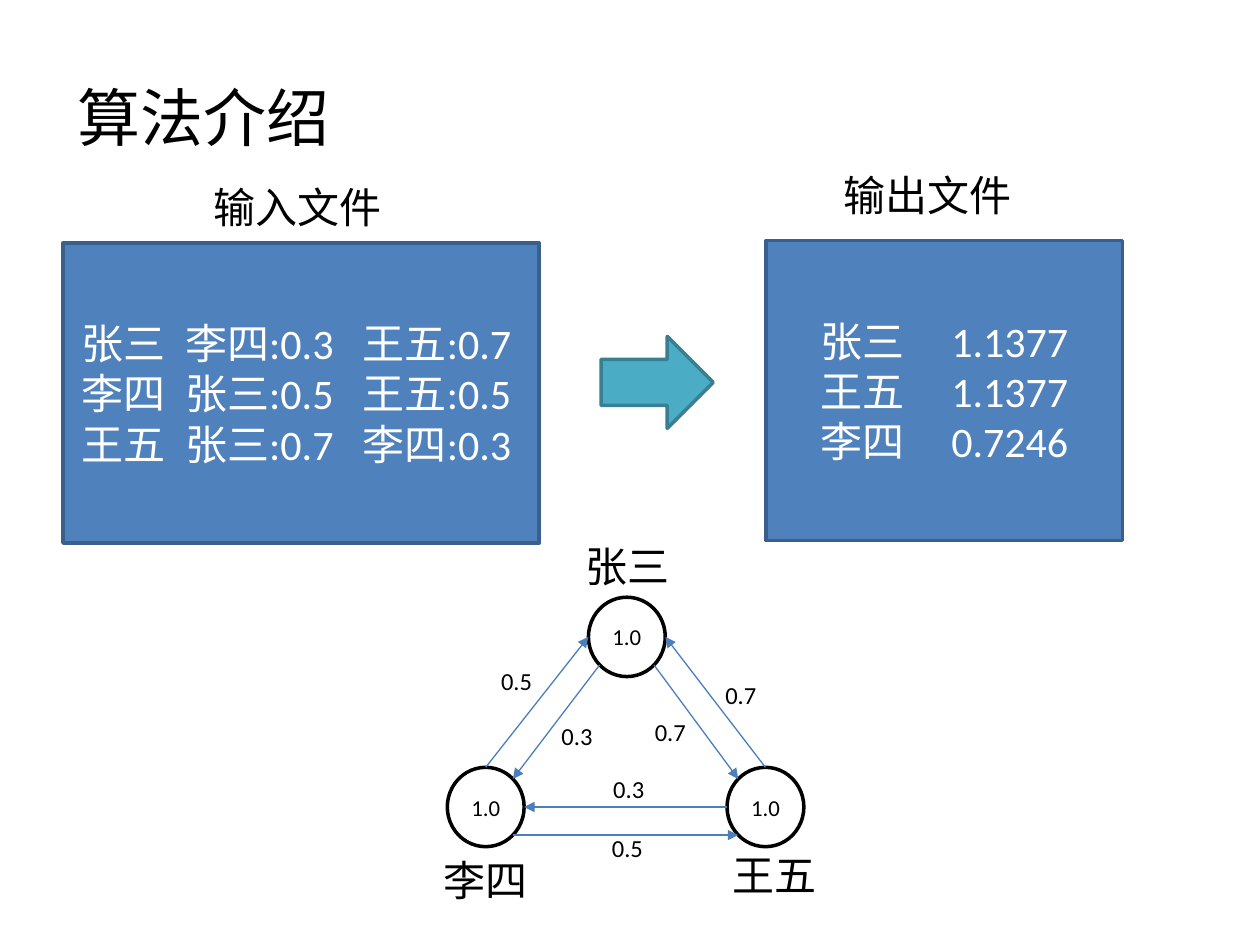
from math import cos, radians, sin

from lxml import etree
from pptx import Presentation
from pptx.dml.color import RGBColor
from pptx.enum import shapes, text
from pptx.oxml import ns
from pptx.util import Inches, Pt

BLACK = RGBColor(0, 0, 0)
WHITE = RGBColor(255, 255, 255)
BLUE = RGBColor(0x4F, 0x81, 0xBD)
BLUE_EDGE = RGBColor(0x3A, 0x5F, 0x8C)
TEAL = RGBColor(0x4B, 0xAC, 0xC6)
TEAL_EDGE = RGBColor(0x37, 0x7F, 0x92)
LINK = RGBColor(0x4B, 0x7E, 0xBC)
NODE_SIZE = (0.61, 0.63)


def write_text(shape, lines, size=24, color=BLACK, anchor=text.MSO_ANCHOR.TOP,
               align=text.PP_ALIGN.CENTER, left_inset=0.1, right_inset=0.1, tabs=()):
    """Fill a shape with formatted lines, with tab stops given in inches."""
    frame = shape.text_frame
    frame.word_wrap = True
    frame.vertical_anchor = anchor
    frame.margin_left = Inches(left_inset)
    frame.margin_right = Inches(right_inset)
    frame.text = "\n".join(lines)
    for paragraph in frame.paragraphs:
        paragraph.alignment = align
        for run in paragraph.runs:
            run.font.name = "Calibri"
            run.font.size = Pt(size)
            run.font.color.rgb = color
        if tabs:
            properties = paragraph._p.get_or_add_pPr()
            stops = etree.SubElement(properties, ns.qn("a:tabLst"))
            for stop in tabs:
                etree.SubElement(stops, ns.qn("a:tab"), pos=str(Inches(stop)), algn="l")


def add_label(slide, box, wording, **style):
    """Add a text box with one line of text."""
    label = slide.shapes.add_textbox(*map(Inches, box))
    write_text(label, [wording], **style)


def add_solid(slide, kind, box, fill, edge):
    """Add a filled and outlined preset shape."""
    shape = slide.shapes.add_shape(kind, *map(Inches, box))
    shape.shadow.inherit = False
    shape.fill.solid()
    shape.fill.fore_color.rgb = fill
    shape.line.color.rgb = edge
    shape.line.width = Pt(2)
    return shape


def add_file_panel(slide, box, caption, caption_box, lines, inset, tabs):
    """Add a captioned blue panel that lists the contents of a file."""
    panel = add_solid(slide, shapes.MSO_SHAPE.RECTANGLE, box, BLUE, BLUE_EDGE)
    write_text(panel, lines, color=WHITE, anchor=text.MSO_ANCHOR.MIDDLE,
               align=text.PP_ALIGN.LEFT, left_inset=inset, right_inset=0, tabs=tabs)
    add_label(slide, caption_box, caption)


def rim_point(corner, angle):
    """Return the point on a node's rim at an angle, clockwise from the right."""
    turn = radians(angle)
    return [start + size / 2 * (1 + part)
            for start, size, part in zip(corner, NODE_SIZE, (cos(turn), sin(turn)))]


def add_arrow(slide, start, end):
    """Add a thin straight arrow between two points."""
    arrow = slide.shapes.add_connector(shapes.MSO_CONNECTOR.STRAIGHT,
                                       *map(Inches, (*start, *end)))
    arrow.line.color.rgb = LINK
    arrow.line.width = Pt(0.75)
    etree.SubElement(arrow.line._get_or_add_ln(), ns.qn("a:tailEnd"), type="triangle")
    etree.SubElement(arrow._element.spPr, ns.qn("a:effectLst"))


def add_graph(slide, left, top):
    """Add the weighted graph of three people from its top left corner."""
    nodes = {"张三": (1.29, 0.5), "王五": (2.39, 1.85), "李四": (0.17, 1.85)}
    names = {"张三": (1.13, 0), "王五": (2.3, 2.45), "李四": (0, 2.49)}
    edges = [
        ("李四", 270, "张三", 180, "0.5", (0.47, 1.0)),
        ("张三", 135, "李四", 315, "0.3", (0.95, 1.43)),
        ("李四", 45, "王五", 135, "0.5", (1.35, 2.32)),
        ("王五", 180, "李四", 0, "0.3", (1.36, 1.85)),
        ("王五", 270, "张三", 0, "0.7", (2.25, 1.11)),
        ("张三", 45, "王五", 225, "0.7", (1.69, 1.4)),
    ]
    corners = {name: (left + x, top + y) for name, (x, y) in nodes.items()}
    for name, corner in corners.items():
        node = add_solid(slide, shapes.MSO_SHAPE.OVAL, (*corner, *NODE_SIZE), WHITE, BLACK)
        write_text(node, ["1.0"], size=13, anchor=text.MSO_ANCHOR.MIDDLE,
                   left_inset=0, right_inset=0)
        x, y = names[name]
        add_label(slide, (left + x, top + y, 0.94, 0.5), name)
    for source, leave, target, arrive, weight, (x, y) in edges:
        add_arrow(slide, rim_point(corners[source], leave), rim_point(corners[target], arrive))
        add_label(slide, (left + x, top + y, 0.5, 0.34), weight, size=14)


def main():
    """Build and save the slide."""
    presentation = Presentation()
    presentation.slide_width = Inches(10)
    presentation.slide_height = Inches(7.5)
    slide = presentation.slides.add_slide(presentation.slide_layouts[6])
    add_label(slide, (0.5, 0.3, 2.23, 1.25), "算法介绍", size=36,
              anchor=text.MSO_ANCHOR.MIDDLE)
    add_file_panel(slide, (0.5, 1.93, 3.78, 2.38), "输入文件", (0.69, 1.39, 3.34, 0.5),
                   ["张三\t李四:0.3\t王五:0.7", "李四\t张三:0.5\t王五:0.5",
                    "王五\t张三:0.7\t李四:0.3"], inset=0.15, tabs=(0.82, 2.23))
    add_file_panel(slide, (6.08, 1.91, 2.83, 2.38), "输出文件", (6.06, 1.3, 2.6, 0.5),
                   ["张三\t1.1377", "王五\t1.1377", "李四\t0.7246"],
                   inset=0.43, tabs=(1.04,))
    add_solid(slide, shapes.MSO_SHAPE.RIGHT_ARROW, (4.77, 2.67, 0.89, 0.73), TEAL, TEAL_EDGE)
    add_graph(slide, 3.38, 4.24)
    presentation.save("out.pptx")


if __name__ == "__main__":
    main()
